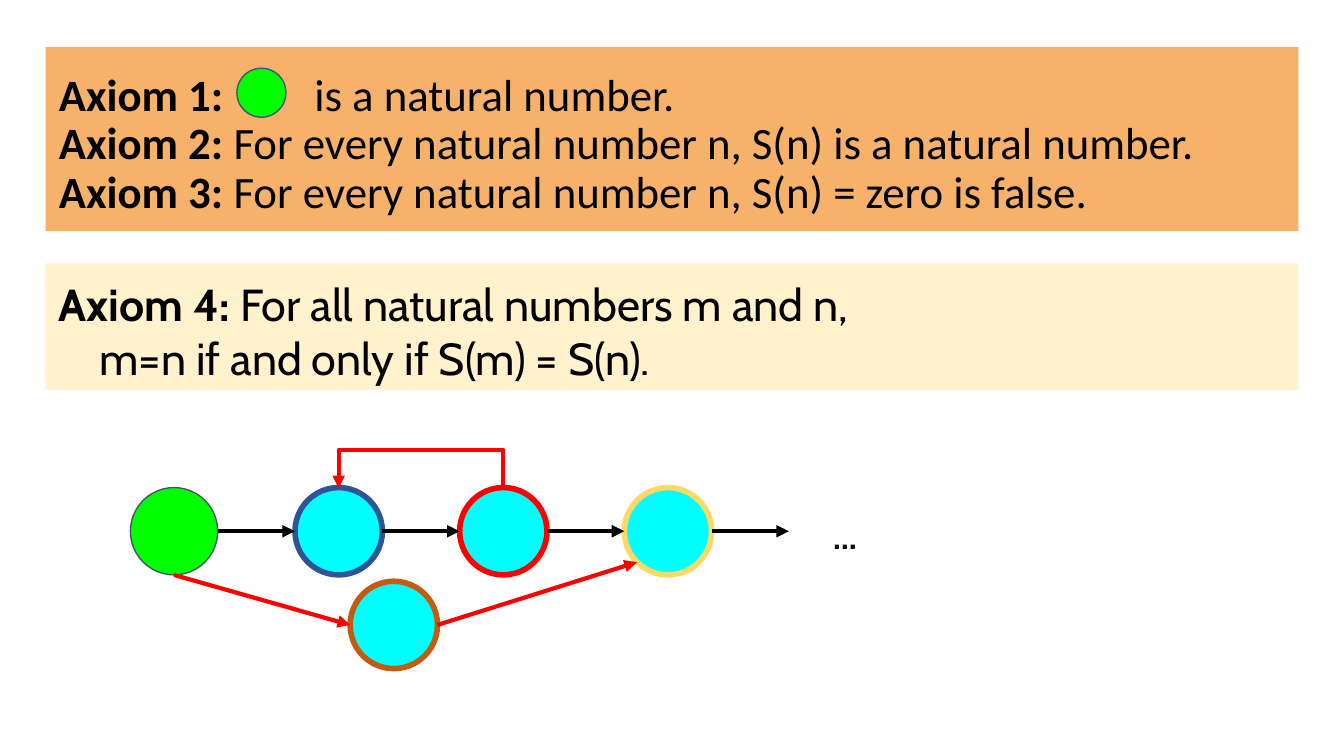
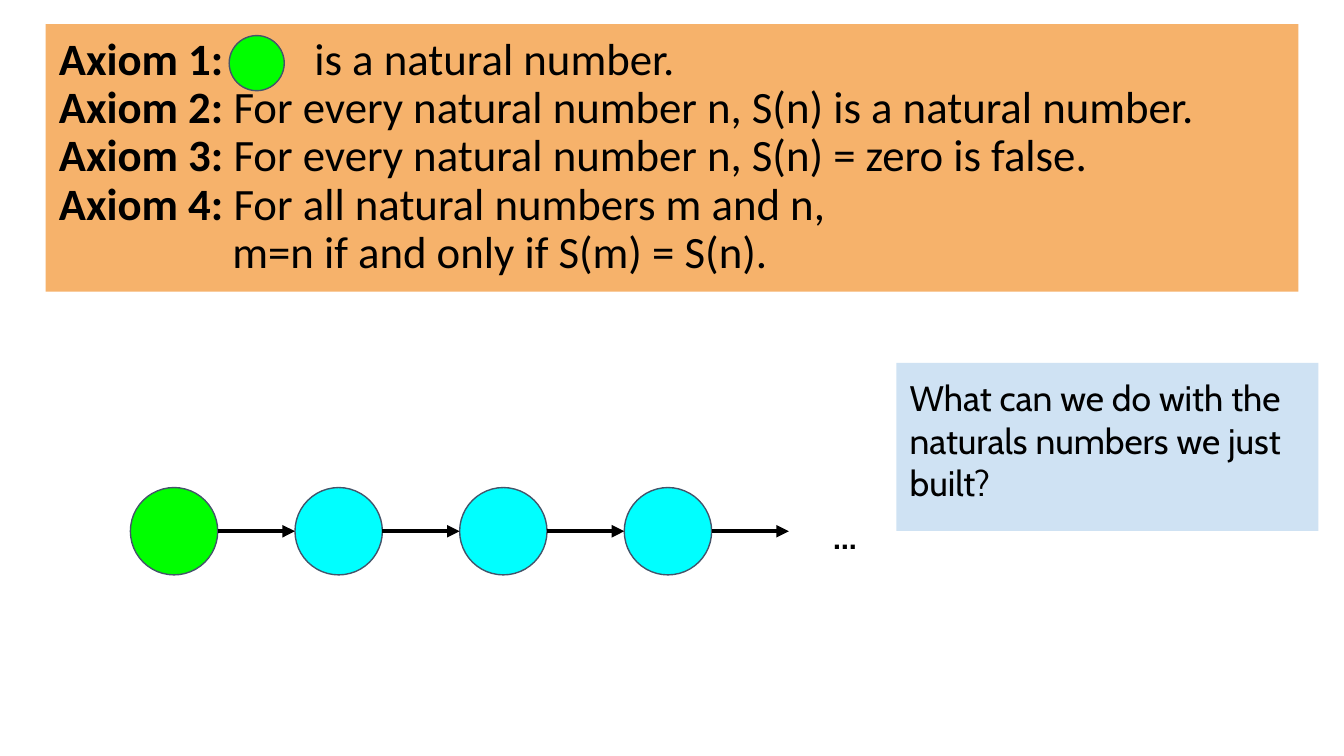
from lxml import etree
from pptx import Presentation
from pptx.dml.color import RGBColor
from pptx.enum.shapes import MSO_CONNECTOR, MSO_SHAPE
from pptx.enum.text import MSO_ANCHOR
from pptx.oxml.ns import qn
from pptx.util import Inches, Pt

STRAIGHT, ELBOW = MSO_CONNECTOR.STRAIGHT, MSO_CONNECTOR.ELBOW
OVAL, RECTANGLE = MSO_SHAPE.OVAL, MSO_SHAPE.RECTANGLE
TOP, BOTTOM = MSO_ANCHOR.TOP, MSO_ANCHOR.BOTTOM

CELL = 0.1  # inches; the slide is a grid of 100 columns by 56.25 rows
COLUMNS, ROWS = 100, 56.25
MARGIN, PANEL_WIDTH = 3.4, 93.2

BLACK, RED, SLATE = "000000", "FF0000", "44546A"
GREEN, CYAN = "00FF00", "00FFFF"
ORANGE, CREAM, PALE_BLUE = "F6B26B", "FFF2CC", "CFE2F3"
NAVY, YELLOW, BROWN = "2F5597", "FFD966", "C55A11"

DIAMETER, CHAIN_ROW = 6.5, 39.53
RADIUS = DIAMETER / 2
FIRST_CENTER, STEP = 12.95, 12.25
ZERO_TAB = 19
HEADING = {"name": "Calibri", "size": Pt(24)}
BODY = {"name": "Cabin", "size": Pt(24)}

# Each line is (bold label, plain text, left indent in columns).
AXIOMS = [
    ("Axiom 1:", "\tis a natural number.", 0),
    ("Axiom 2:", " For every natural number n, S(n) is a natural number.", 0),
    ("Axiom 3:", " For every natural number n, S(n) = zero is false.", 0),
]
AXIOM_4 = ("Axiom 4:", " For all natural numbers m and n,", 0)
INJECTIVITY = "m=n if and only if S(m) = S(n)."


def color(value):
    return RGBColor.from_string(value)


def grid(cells):
    return Inches(cells * CELL)


def grid_center(shape):
    """Return the horizontal centre of a shape in columns."""
    return (shape.left + shape.width / 2) / grid(1)


def apply_format(target, values):
    for name, value in values.items():
        setattr(target, name, value)


class Deck:
    def __init__(self):
        self.presentation = Presentation()
        self.presentation.slide_width = grid(COLUMNS)
        self.presentation.slide_height = grid(ROWS)
        self.slide = None

    def new_slide(self):
        self.slide = self.presentation.slides.add_slide(self.presentation.slide_layouts[6])

    def shape(self, kind, left, top, width, height, fill, line=None, weight=0.75):
        shape = self.slide.shapes.add_shape(kind, *map(grid, (left, top, width, height)))
        shape.shadow.inherit = False
        shape.fill.solid()
        shape.fill.fore_color.rgb = color(fill)
        if line:
            shape.line.color.rgb = color(line)
            shape.line.width = Pt(weight)
        else:
            shape.line.fill.background()
        return shape

    def circle(self, x, y, fill, line=SLATE, weight=0.75, diameter=DIAMETER):
        """Draw a circle around the centre x, y."""
        half = diameter / 2
        return self.shape(OVAL, x - half, y - half, diameter, diameter, fill, line, weight)

    def fill_text(self, shape, lines, font, anchor=TOP, spacing=None):
        frame = shape.text_frame
        margins = dict.fromkeys(
            ("margin_left", "margin_top", "margin_right", "margin_bottom"), grid(1))
        apply_format(frame, {"word_wrap": True, "vertical_anchor": anchor, **margins})
        for index, (label, text, indent) in enumerate(lines):
            paragraph = frame.add_paragraph() if index else frame.paragraphs[0]
            properties = paragraph._p.get_or_add_pPr()
            properties.set("algn", "l")
            if indent:
                properties.set("marL", str(grid(indent)))
            if "\t" in text:
                tabs = etree.SubElement(properties, qn("a:tabLst"))
                etree.SubElement(tabs, qn("a:tab"), pos=str(grid(ZERO_TAB)), algn="l")
            if spacing:
                paragraph.line_spacing = spacing
            for content, bold in ((label, True), (text, False)):
                if content:
                    run = paragraph.add_run()
                    run.text = content
                    apply_format(run.font, {**font, "bold": bold})
                    run.font.color.rgb = color(BLACK)

    def panel(self, left, top, width, height, fill, lines, font, **layout):
        shape = self.shape(RECTANGLE, left, top, width, height, fill)
        self.fill_text(shape, lines, font, **layout)

    def arrow(self, start, end, line=BLACK, kind=STRAIGHT):
        connector = self.slide.shapes.add_connector(kind, *map(grid, (*start, *end)))
        connector.line.color.rgb = color(line)
        connector.line.width = Pt(2.25)
        etree.SubElement(connector.line._get_or_add_ln(), qn("a:tailEnd"), type="triangle")
        etree.SubElement(connector._element.spPr, qn("a:effectLst"))
        return connector

    def loop_arrow(self, source, target, rise, line):
        """Run an elbow arrow over the tops of two circles, from right to left."""
        right, left = grid_center(source), grid_center(target)
        middle, span, thickness = (left + right) / 2, right - left, 0.1
        top = CHAIN_ROW - RADIUS
        connector = self.arrow((right, top), (left, top), line, ELBOW)
        connector.begin_connect(source, 0)
        connector.end_connect(target, 0)
        apply_format(connector, {
            "left": grid(middle - thickness / 2), "top": grid(top - span / 2),
            "width": grid(thickness), "height": grid(span)})
        properties = connector._element.spPr
        transform = properties.find(qn("a:xfrm"))
        transform.set("rot", str(90 * 60000))
        transform.set("flipH", "0")
        adjustments = properties.find(qn("a:prstGeom")).find(qn("a:avLst"))
        bend = round(-rise / thickness * 100000)
        etree.SubElement(adjustments, qn("a:gd"), name="adj1", fmla=f"val {bend}")

    def axioms(self, top, height, lines, zero_center, zero_diameter):
        self.panel(MARGIN, top, PANEL_WIDTH, height, ORANGE, lines, HEADING,
                   anchor=BOTTOM, spacing=0.9)
        self.circle(*zero_center, GREEN, diameter=zero_diameter)

    def number_chain(self, outlines, weight):
        """Draw zero and its successors, and return the circles."""
        circles = [self.circle(FIRST_CENTER, CHAIN_ROW, GREEN)]
        for index, outline in enumerate(outlines, 1):
            circles.append(self.circle(
                FIRST_CENTER + index * STEP, CHAIN_ROW, CYAN, outline, weight))
        for circle in circles:
            center = grid_center(circle)
            self.arrow((center + RADIUS, CHAIN_ROW), (center + STEP - RADIUS, CHAIN_ROW))
        dots = self.slide.shapes.add_textbox(*map(grid, (61, 37.4, 5.8, 9.4)))
        self.fill_text(dots, [("…", "", 0)], {**BODY, "size": Pt(18)})
        return circles


def build_axiom_four(deck):
    deck.new_slide()
    deck.axioms(3.5, 13.7, AXIOMS, (19.45, 6.9), 3.65)
    zero, one, two, three = deck.number_chain((NAVY, RED, YELLOW), 3)
    branch_x, branch_y = 29.3, 46.5
    deck.circle(branch_x, branch_y, CYAN, BROWN, 3)
    deck.arrow((grid_center(zero), CHAIN_ROW + RADIUS), (branch_x - RADIUS, branch_y), RED)
    diagonal = RADIUS * 0.71
    deck.arrow((branch_x + RADIUS, branch_y),
               (grid_center(three) - diagonal, CHAIN_ROW + diagonal), RED)
    deck.loop_arrow(two, one, 2.8, RED)
    deck.panel(MARGIN, 19.6, PANEL_WIDTH, 9.4, CREAM, [AXIOM_4, ("", INJECTIVITY, 3)], BODY)


def build_question(deck):
    deck.new_slide()
    deck.axioms(1.8, 19.9, [*AXIOMS, AXIOM_4, ("", INJECTIVITY, 12.9)], (19.1, 4.7), 4.1)
    deck.number_chain([SLATE] * 3, 0.75)
    question = "What can we do with the naturals numbers we just built?"
    deck.panel(66.7, 27, 31.4, 12.5, PALE_BLUE, [("", question, 0)],
               {**BODY, "size": Pt(19)})


def main():
    deck = Deck()
    build_axiom_four(deck)
    build_question(deck)
    deck.presentation.save("out.pptx")


if __name__ == "__main__":
    main()
